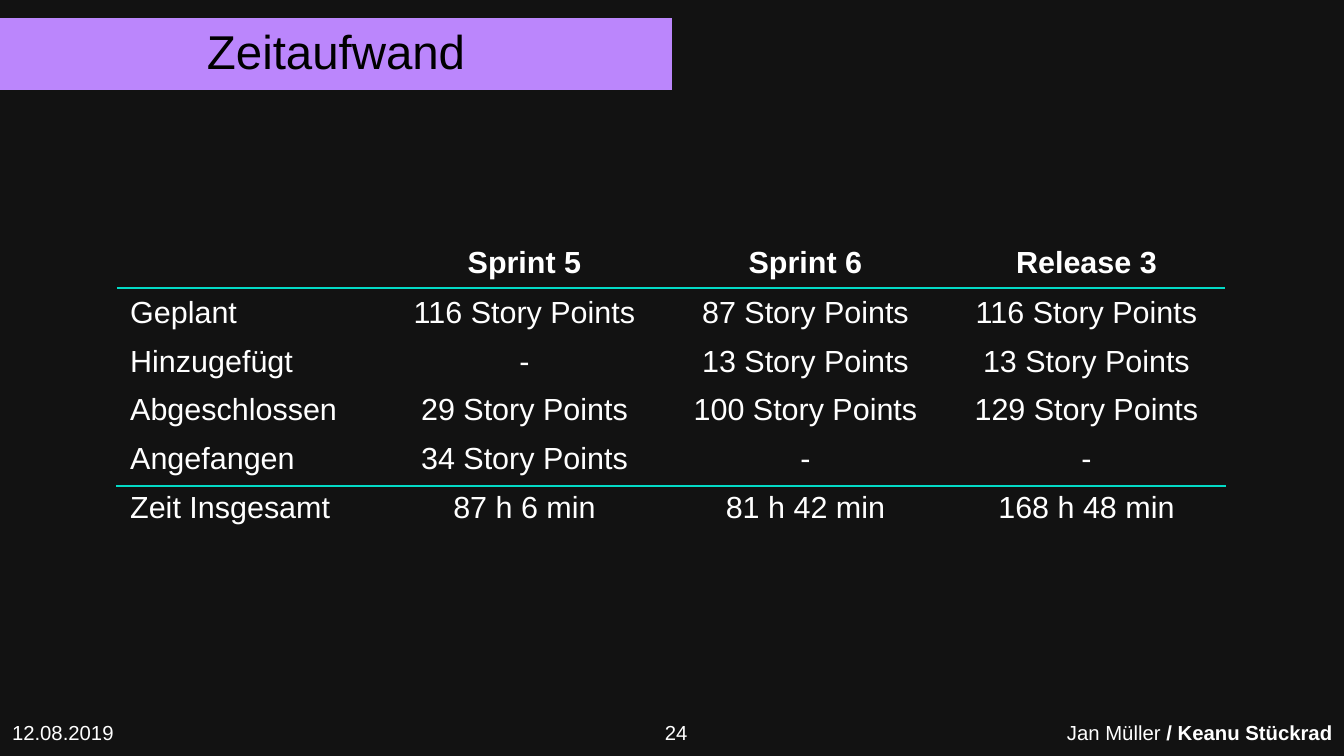
from dataclasses import dataclass

from lxml.etree import SubElement
from pptx import Presentation
from pptx.dml.color import RGBColor
from pptx.enum.shapes import MSO_CONNECTOR as Connector, MSO_SHAPE as Preset
from pptx.enum.text import MSO_ANCHOR as Anchor, PP_ALIGN as Align
from pptx.oxml.ns import qn
from pptx.slide import Slide
from pptx.text.text import Font
from pptx.util import Emu, Pt

EMU_PER_PX = 7495
BACKGROUND, BANNER, RULE = "121212", "BB86FC", "03DAC6"
WHITE, BLACK = "FFFFFF", "000000"
PLAIN_STYLE = "{2D5ABB26-0587-4C30-8999-92F81FD0307C}"

COLUMN_WIDTHS = [266, 281, 281, 281]
TABLE_LEFT, TABLE_TOP, TABLE_HEIGHT = 118, 240, 293
EFFORT = [
    ["", "Sprint 5", "Sprint 6", "Release 3"],
    ["Geplant", "116 Story Points", "87 Story Points", "116 Story Points"],
    ["Hinzugefügt", "-", "13 Story Points", "13 Story Points"],
    ["Abgeschlossen", "29 Story Points", "100 Story Points", "129 Story Points"],
    ["Angefangen", "34 Story Points", "-", "-"],
    ["Zeit Insgesamt", "87 h 6 min", "81 h 42 min", "168 h 48 min"],
]


@dataclass(frozen=True)
class Rule:
    left: int
    right: int
    y: int


@dataclass(frozen=True)
class FooterPart:
    left: int
    width: int
    height: int
    plain: str
    bold: str = ""


RULES = [Rule(117, 1225, 288), Rule(116, 1226, 486)]
FOOTER_TOP = 714
FOOTER = [
    FooterPart(0, 128, 61, "12.08.2019"),
    FooterPart(1055, 290, 61, "Jan Müller", " / Keanu Stückrad"),
    FooterPart(653, 49, 37, "24"),
]


def px(length: int) -> Emu:
    return Emu(length * EMU_PER_PX)


def rgb(hex_color: str) -> RGBColor:
    return RGBColor.from_string(hex_color)


def style(font: Font, size: int, color: str = WHITE, bold: bool = False) -> None:
    font.name = "Arial"
    font.size = Pt(size)
    font.bold = bold
    font.color.rgb = rgb(color)


def draw_title(slide: Slide) -> None:
    banner = slide.shapes.add_shape(Preset.RECTANGLE, 0, px(18), px(672), px(72))
    banner.shadow.inherit = False
    banner.fill.solid()
    banner.fill.fore_color.rgb = rgb(BANNER)
    banner.line.fill.background()
    frame = banner.text_frame
    frame.margin_left = frame.margin_right = frame.margin_top = frame.margin_bottom = 0
    frame.vertical_anchor = Anchor.MIDDLE
    frame.text = "Zeitaufwand"
    title = frame.paragraphs[0]
    title.alignment = Align.CENTER
    title.line_spacing = 0.9
    style(title.runs[0].font, 28, BLACK)


def draw_effort_table(slide: Slide) -> None:
    table = slide.shapes.add_table(
        len(EFFORT), len(COLUMN_WIDTHS), px(TABLE_LEFT), px(TABLE_TOP),
        px(sum(COLUMN_WIDTHS)), px(TABLE_HEIGHT),
    ).table
    table.first_row = table.horz_banding = False
    table._tbl.tblPr.find(qn("a:tableStyleId")).text = PLAIN_STYLE
    for column, width in zip(table.columns, COLUMN_WIDTHS):
        column.width = px(width)
    for row_index, values in enumerate(EFFORT):
        table.rows[row_index].height = Emu(px(TABLE_HEIGHT) // len(EFFORT))
        for column_index, value in enumerate(values):
            cell = table.cell(row_index, column_index)
            cell.fill.background()
            cell.text_frame.text = value
            entry = cell.text_frame.paragraphs[0]
            entry.alignment = Align.CENTER if column_index else Align.LEFT
            for run in entry.runs:
                style(run.font, 18, bold=row_index == 0)


def draw_rule(slide: Slide, rule: Rule) -> None:
    divider = slide.shapes.add_connector(
        Connector.STRAIGHT, px(rule.left), px(rule.y), px(rule.right), px(rule.y)
    )
    divider.line.color.rgb = rgb(RULE)
    divider.line.width = Pt(0.75)
    SubElement(divider._element.spPr, qn("a:effectLst"))


def draw_footer_part(slide: Slide, part: FooterPart) -> None:
    frame = slide.shapes.add_textbox(
        px(part.left), px(FOOTER_TOP), px(part.width), px(part.height)
    ).text_frame
    frame.word_wrap = True
    frame.text = part.plain
    line = frame.paragraphs[0]
    style(line.runs[0].font, 12)
    if part.bold:
        emphasis = line.add_run()
        emphasis.text = part.bold
        style(emphasis.font, 12, bold=True)


def main() -> None:
    deck = Presentation()
    deck.slide_width, deck.slide_height = px(1344), px(756)
    slide = deck.slides.add_slide(deck.slide_layouts[6])
    slide.background.fill.solid()
    slide.background.fill.fore_color.rgb = rgb(BACKGROUND)
    draw_title(slide)
    draw_effort_table(slide)
    for rule in RULES:
        draw_rule(slide, rule)
    for part in FOOTER:
        draw_footer_part(slide, part)
    deck.save("out.pptx")


if __name__ == "__main__":
    main()
